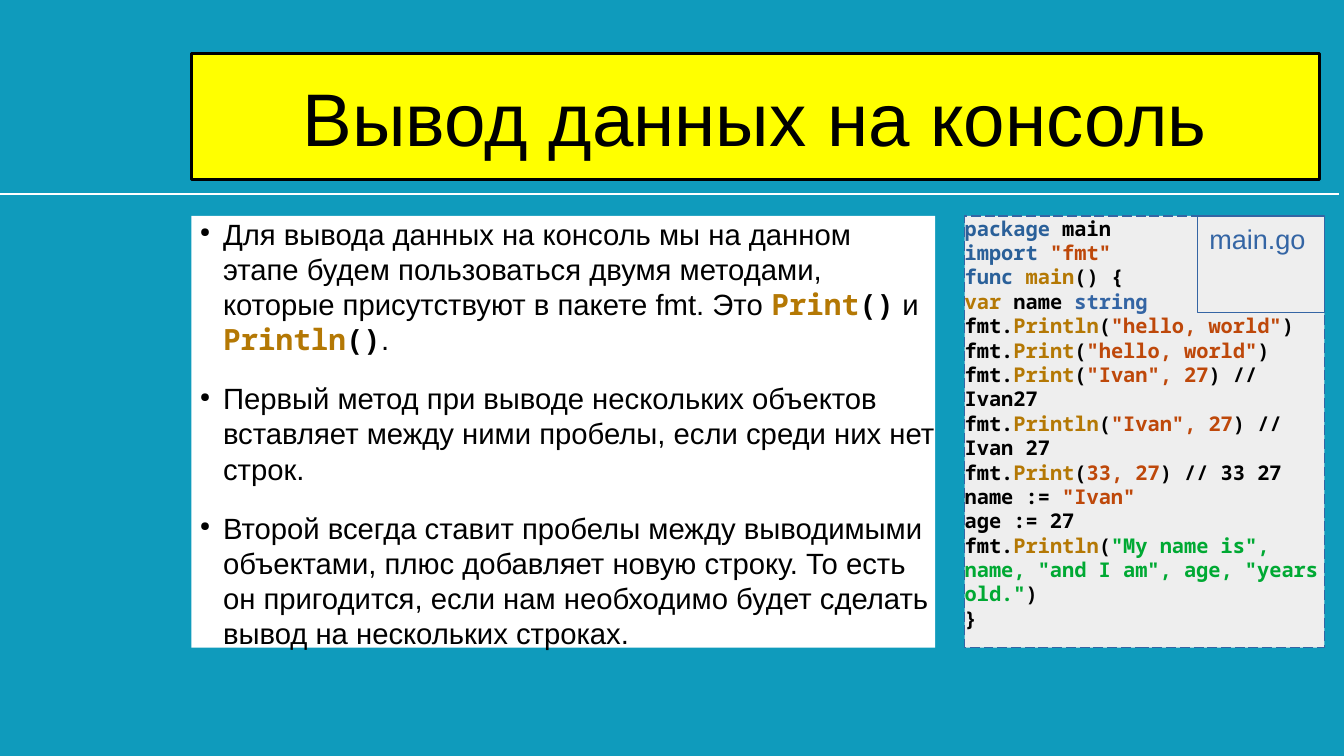
import pptx
import pptx.util
import pptx.dml.color
import pptx.enum.dml
import pptx.enum.shapes
import pptx.enum.text
import lxml.etree

Pt = pptx.util.Pt
COLOURS = {
    "background": "0F9BBC", "title": "FFFF00", "white": "FFFFFF", "text": "000000",
    "panel": "EEEEEE", "border": "3465A4", "type": "3465A4", "keyword": "2A6099",
    "name": "B47804", "literal": "BE480A", "message": "00A933",
}
SANS, MONO = "Arial", "Noto Sans Mono"
PRINT, PRINTLN = ("name", "Print"), ("name", "Println")

BULLETS = [
    [("text", "Для вывода данных на консоль мы на данном этапе будем пользоваться двумя "
              "методами, которые присутствуют в пакете fmt. Это "),
     PRINT, ("code", "()"), ("text", " и "), PRINTLN, ("code", "()"), ("text", ".")],
    [("text", "Первый метод при выводе нескольких объектов вставляет между ними пробелы, "
              "если среди них нет строк.")],
    [("text", "Второй всегда ставит пробелы между выводимыми объектами, плюс добавляет новую "
              "строку. То есть он пригодится, если нам необходимо будет сделать вывод на "
              "нескольких строках.")],
]


def call(method, role, arguments, ending=")"):
    return [("text", "fmt."), method, ("text", "("), (role, arguments), ("text", ending)]


CODE = [
    [("keyword", "package"), ("text", " main")],
    [("keyword", "import "), ("literal", '"fmt"')],
    [("keyword", "func "), ("name", "main"), ("text", "() {")],
    [("name", "var"), ("text", " name "), ("type", "string")],
    call(PRINTLN, "literal", '"hello, world"'),
    call(PRINT, "literal", '"hello, world"'),
    call(PRINT, "literal", '"Ivan", 27', ") // Ivan27"),
    call(PRINTLN, "literal", '"Ivan", 27', ") // Ivan 27"),
    call(PRINT, "literal", "33, 27", ") // 33 27"),
    [("text", "name := "), ("literal", '"Ivan"')],
    [("text", "age := 27")],
    call(PRINTLN, "message", '"My name is", name, "and I am", age, "years old."'),
    [("text", "}")],
]


def colour(name):
    return pptx.dml.color.RGBColor.from_string(COLOURS[name])


def add_box(page, box, fill=None, line=None, width=0, margins=(0, 0)):
    shape = page.shapes.add_shape(
        pptx.enum.shapes.MSO_SHAPE.RECTANGLE, *[Pt(length) for length in box])
    shape.shadow.inherit = False
    if fill:
        shape.fill.solid()
        shape.fill.fore_color.rgb = colour(fill)
    else:
        shape.fill.background()
    if line:
        shape.line.color.rgb = colour(line)
        shape.line.width = Pt(width)
    else:
        shape.line.fill.background()
    frame = shape.text_frame
    frame.word_wrap = True
    frame.margin_left = frame.margin_right = Pt(margins[0])
    frame.margin_top = frame.margin_bottom = Pt(margins[1])
    frame.vertical_anchor = pptx.enum.text.MSO_ANCHOR.TOP
    return shape


def add_paragraph(frame, index, size, font):
    para = frame.add_paragraph() if index else frame.paragraphs[0]
    para.alignment = pptx.enum.text.PP_ALIGN.LEFT
    para.font.size = Pt(size)
    para.font.name = font
    return para


def add_span(para, text, role):
    span = para.add_run()
    span.text = text
    span.font.color.rgb = colour(role)
    return span


def add_bullet(para):
    properties = para._p.get_or_add_pPr()
    properties.set("marL", str(Pt(18.7)))
    properties.set("indent", str(Pt(-13.7)))
    namespace = pptx.oxml.ns.qn("a:buClr")[:-len("buClr")]
    bullet_colour = lxml.etree.Element(namespace + "buClr")
    lxml.etree.SubElement(bullet_colour, namespace + "srgbClr", val=COLOURS["text"])
    parts = [
        bullet_colour,
        lxml.etree.Element(namespace + "buSzPct", val="45000"),
        lxml.etree.Element(namespace + "buChar", char="●"),
    ]
    place = len(properties.findall(pptx.oxml.ns.qn("a:lnSpc")))
    place += len(properties.findall(pptx.oxml.ns.qn("a:spcBef")))
    for offset, part in enumerate(parts):
        properties.insert(place + offset, part)


def add_title(page, box):
    frame = add_box(page, box, "title", "text", 1.5).text_frame
    frame.vertical_anchor = pptx.enum.text.MSO_ANCHOR.MIDDLE
    para = add_paragraph(frame, 0, 44, SANS)
    para.alignment = pptx.enum.text.PP_ALIGN.CENTER
    add_span(para, "Вывод данных на консоль", "text")


def add_rule(page, box):
    left, top, width = box
    rule = page.shapes.add_connector(
        pptx.enum.shapes.MSO_CONNECTOR.STRAIGHT, Pt(left), Pt(top), Pt(left + width), Pt(top))
    rule.line.color.rgb = colour("white")
    rule.line.width = Pt(1.5)
    lxml.etree.SubElement(rule._element.spPr, pptx.oxml.ns.qn("a:effectLst"))


def add_explanation(page, box):
    frame = add_box(page, box, "white").text_frame
    for index, pieces in enumerate(BULLETS):
        para = add_paragraph(frame, index, 17.3, SANS)
        para.line_spacing = Pt(20.76)
        para.space_before = Pt(14.2 if index else 0)
        add_bullet(para)
        for role, text in pieces:
            span = add_span(para, text, "text" if role == "code" else role)
            if role != "text":
                span.font.name = MONO
                span.font.bold = True


def add_listing(page, box):
    left, top, width, height = box
    panel = add_box(page, box, "panel", "border")
    panel.line.dash_style = pptx.enum.dml.MSO_LINE.LONG_DASH
    for index, pieces in enumerate(CODE):
        para = add_paragraph(panel.text_frame, index, 12, MONO)
        para.font.bold = True
        para.line_spacing = Pt(14.4)
        for role, text in pieces:
            add_span(para, text, role)
    label_width = 75
    label_box = (left + width - label_width, top, label_width, 57)
    label = add_box(page, label_box, None, "border", margins=(7.2, 3.6))
    add_span(add_paragraph(label.text_frame, 0, 16, SANS), "main.go", "border")


def main():
    deck = pptx.Presentation()
    deck.slide_width, deck.slide_height = Pt(793.44), Pt(446.4)
    page = deck.slides.add_slide(deck.slide_layouts[6])
    page.background.fill.solid()
    page.background.fill.fore_color.rgb = colour("background")
    left, top, height = 113, 127.5, 255
    add_rule(page, (0, 114.5, 790.5))
    add_title(page, (left, 31.7, 666, 74.2))
    add_explanation(page, (left, top, 439.2, height))
    add_listing(page, (569.5, top, 212.4, height))
    deck.save("out.pptx")


if __name__ == "__main__":
    main()
